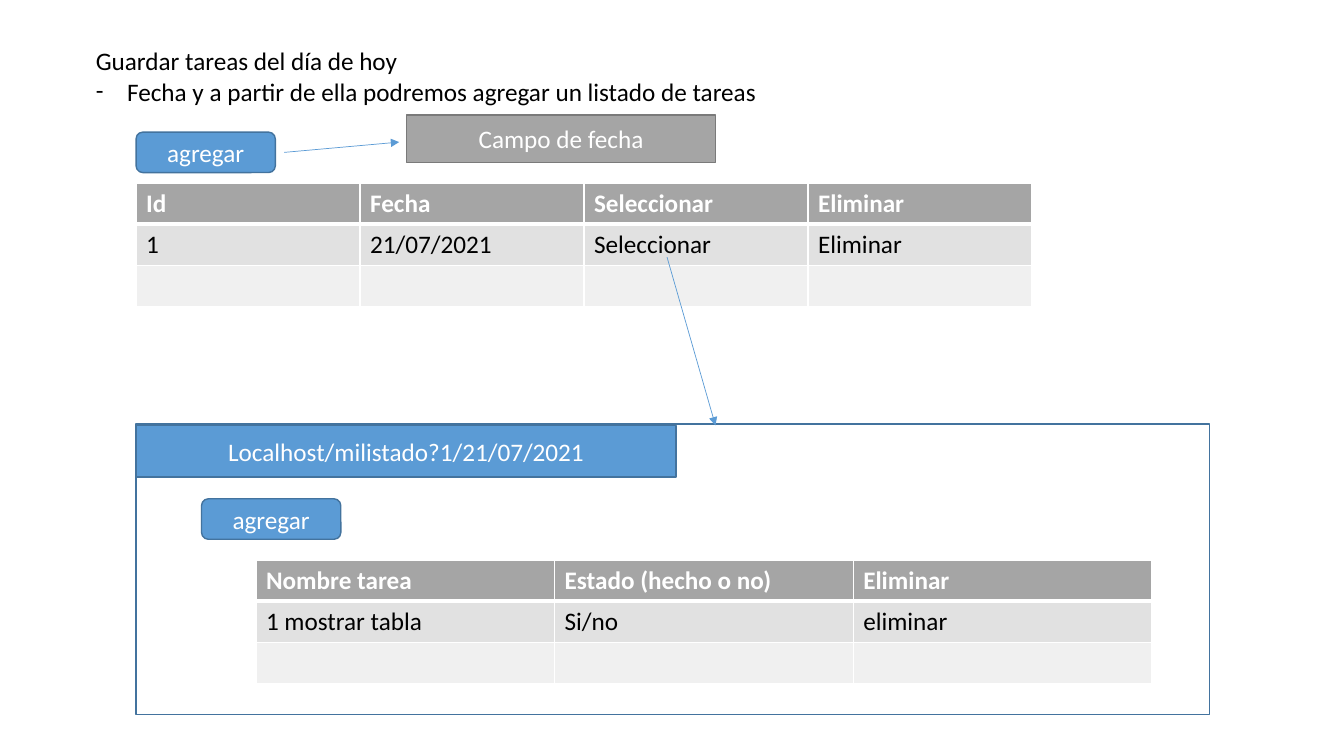
from lxml import etree
from pptx import Presentation, util as u
from pptx.dml.color import RGBColor
from pptx.enum import shapes, text
from pptx.oxml import ns

BLUE, BLUE_EDGE = "5B9BD5", "43739E"
GREY, GREY_EDGE = "A5A5A5", "7A7A7A"
WHITE, BLACK = "FFFFFF", "000000"
ROW_FILLS = [GREY, "E1E1E1", "F0F0F0"]
RECT = shapes.MSO_SHAPE.RECTANGLE
ROUND = shapes.MSO_SHAPE.ROUNDED_RECTANGLE


def color(target, value):
    """Apply a hex colour to a solid fill, a line or a font."""
    if hasattr(target, "solid"):
        target.solid()
        target.fore_color.rgb = RGBColor.from_string(value)
    else:
        target.color.rgb = RGBColor.from_string(value)


def style(p, value, bold=False):
    """Format the runs of a paragraph."""
    for r in p.runs:
        r.font.name = "Calibri"
        r.font.size = u.Pt(18)
        r.font.bold = bold
        color(r.font, value)


def fill_placeholder(sp, label, x, y, w, h):
    """Place a title or body placeholder and set its left-aligned text."""
    sp.left, sp.top, sp.width, sp.height = map(u.Cm, (x, y, w, h))
    tf = sp.text_frame
    tf.text = label
    tf.word_wrap = True
    tf.auto_size = text.MSO_AUTO_SIZE.NONE
    tf.vertical_anchor = text.MSO_ANCHOR.TOP
    p = tf.paragraphs[0]
    p.alignment = text.PP_ALIGN.LEFT
    p.line_spacing = 1.0
    p.space_before = p.space_after = u.Pt(0)
    style(p, BLACK)
    return p


def dash(p):
    """Give a paragraph a dash bullet with a hanging indent."""
    pPr = p._p.get_or_add_pPr()
    pPr.set("marL", str(u.Cm(0.79)))
    pPr.set("indent", str(-u.Cm(0.79)))
    etree.SubElement(pPr, ns.qn("a:buFont")).set("typeface", "Calibri")
    etree.SubElement(pPr, ns.qn("a:buChar")).set("char", "-")


def box(s, kind, x, y, w, h, fill, edge, label=""):
    """Add a filled shape with a centred label."""
    sp = s.shapes.add_shape(kind, *map(u.Cm, (x, y, w, h)))
    sp.shadow.inherit = False
    color(sp.fill, fill)
    color(sp.line, edge)
    sp.line.width = u.Pt(1)
    if label:
        tf = sp.text_frame
        tf.text = label
        tf.vertical_anchor = text.MSO_ANCHOR.MIDDLE
        tf.paragraphs[0].alignment = text.PP_ALIGN.CENTER
        style(tf.paragraphs[0], WHITE)


def arrow(s, x1, y1, x2, y2):
    """Add a thin line ending in a triangle."""
    line = s.shapes.add_connector(shapes.MSO_CONNECTOR.STRAIGHT, *map(u.Cm, (x1, y1, x2, y2)))
    color(line.line, BLUE)
    line.line.width = u.Pt(0.5)
    etree.SubElement(line.line._get_or_add_ln(), ns.qn("a:tailEnd")).set("type", "triangle")
    etree.SubElement(line._element.spPr, ns.qn("a:effectLst"))


def borders(cell, top, bottom):
    """Draw white cell borders with the given top and bottom widths."""
    tcPr = cell._tc.get_or_add_tcPr()
    for side, width in (("L", 1), ("R", 1), ("T", top), ("B", bottom)):
        ln = etree.SubElement(tcPr, ns.qn("a:ln" + side), w=str(u.Pt(width)))
        solid = etree.SubElement(ln, ns.qn("a:solidFill"))
        etree.SubElement(solid, ns.qn("a:srgbClr")).set("val", WHITE)


def grid(s, x, y, rows):
    """Add a table with a grey header and equal columns."""
    size = len(ROW_FILLS), len(rows[0])
    table = s.shapes.add_table(*size, *map(u.Cm, (x, y, 22.58, 3.1))).table
    for i, fill in enumerate(ROW_FILLS):
        for j in range(size[1]):
            cell = table.cell(i, j)
            borders(cell, 3 if i == 1 else 1, 3 if i == 0 else 1)
            color(cell.fill, fill)
            if i < len(rows):
                cell.text = rows[i][j]
                style(cell.text_frame.paragraphs[0], BLACK if i else WHITE, i == 0)


def main():
    """Build the slide and save it."""
    prs = Presentation()
    prs.slide_width, prs.slide_height = u.Cm(33.87), u.Cm(19.05)
    s = prs.slides.add_slide(prs.slide_layouts[1])
    fill_placeholder(s.shapes.title, "Guardar tareas del día de hoy", 2.16, 1.02, 30.33, 1.02)
    dash(fill_placeholder(s.placeholders[1],
                          "Fecha y a partir de ella podremos agregar un listado de tareas",
                          2.16, 1.79, 30.33, 1.79))
    grid(s, 3.43, 4.62, [["Id", "Fecha", "Seleccionar", "Eliminar"],
                         ["1", "21/07/2021", "Seleccionar", "Eliminar"]])
    box(s, RECT, 3.43, 10.69, 27.05, 7.32, WHITE, BLUE_EDGE)
    arrow(s, 16.81, 6.48, 18.03, 10.72)
    box(s, RECT, 3.43, 10.72, 13.61, 1.3, BLUE, BLUE_EDGE, "Localhost/milistado?1/21/07/2021")
    box(s, ROUND, 5.08, 12.57, 3.51, 1.02, BLUE, BLUE_EDGE, "agregar")
    grid(s, 6.45, 14.12, [["Nombre tarea", "Estado (hecho o no)", "Eliminar"],
                          ["1 mostrar tabla", "Si/no", "eliminar"]])
    box(s, ROUND, 3.43, 3.33, 3.51, 1.02, BLUE, BLUE_EDGE, "agregar")
    box(s, RECT, 10.24, 2.9, 7.8, 1.19, GREY, GREY_EDGE, "Campo de fecha")
    arrow(s, 7.16, 3.84, 10.06, 3.58)
    prs.save("out.pptx")


main()
